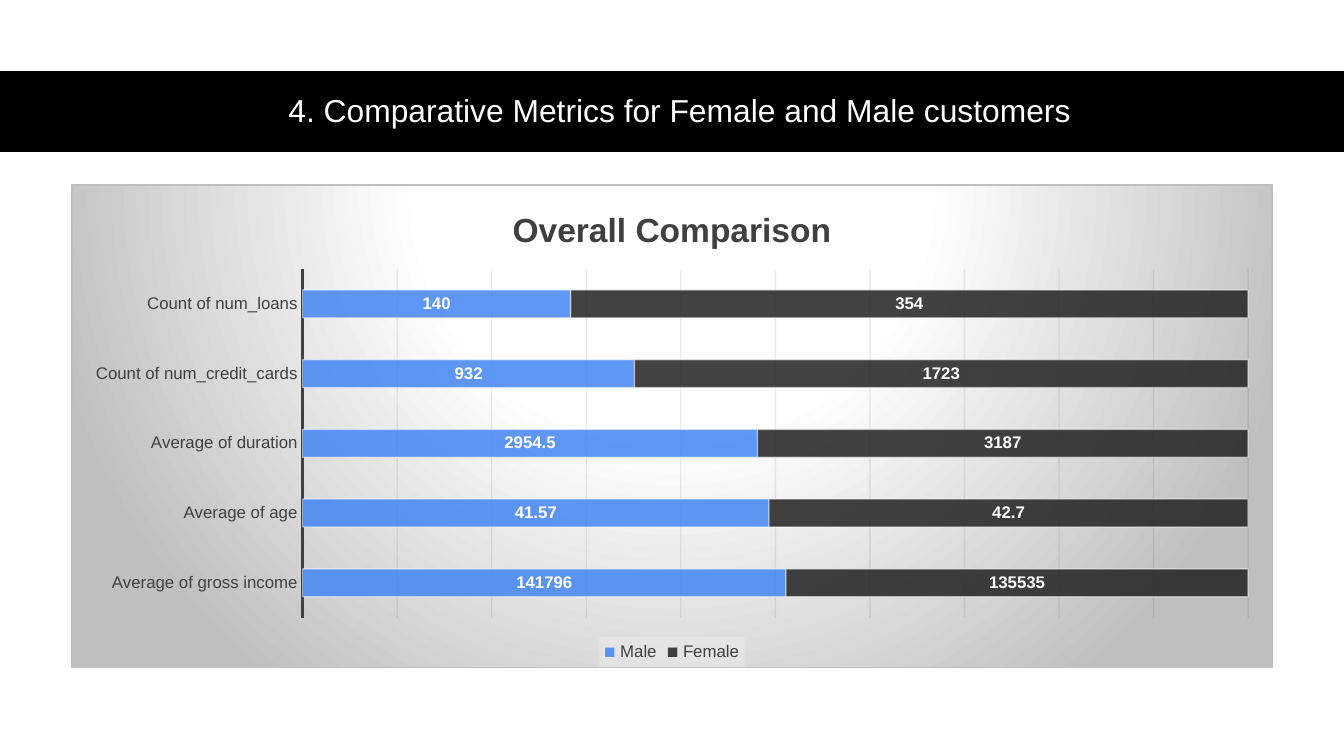
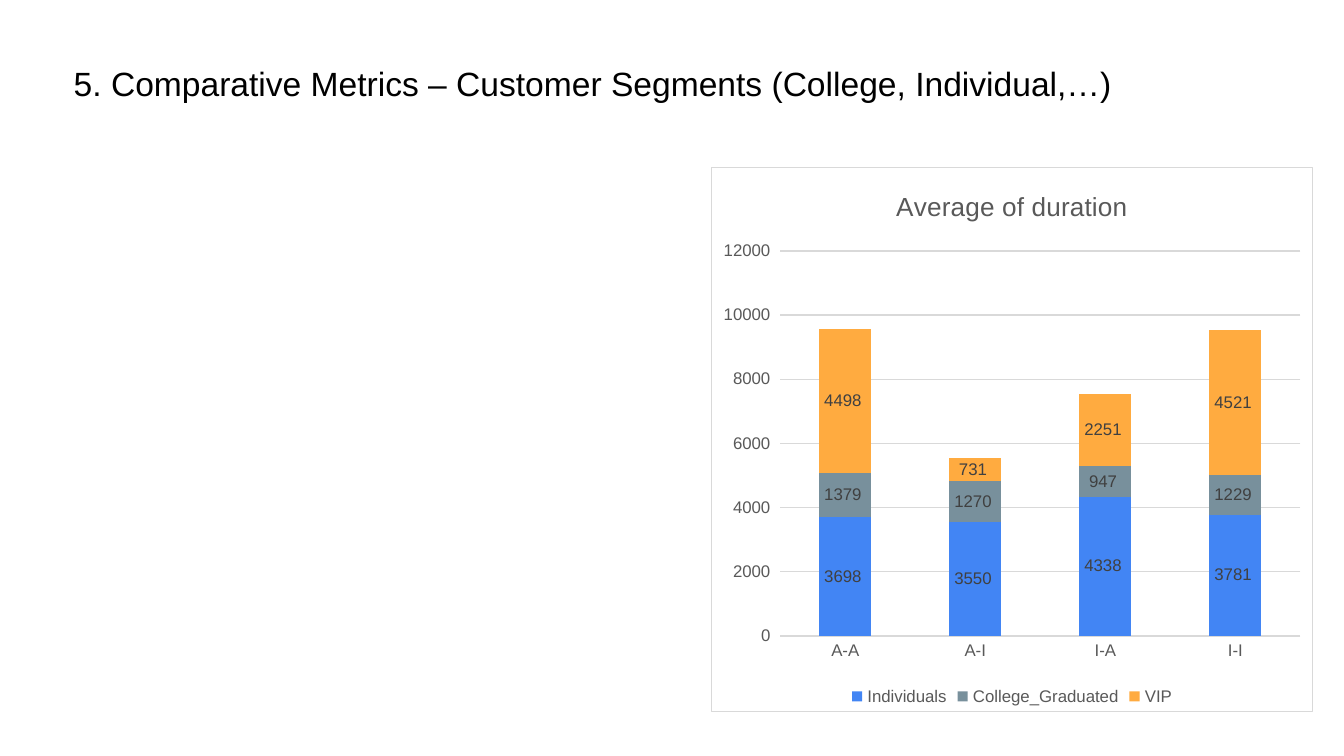
from lxml.etree import SubElement as Sub
from pptx import Presentation
from pptx.chart.data import CategoryChartData as Data
from pptx.dml.color import RGBColor as RGB
from pptx.enum.chart import XL_CHART_TYPE as Kind
from pptx.enum.chart import XL_LABEL_POSITION as Spot
from pptx.enum.chart import XL_LEGEND_POSITION as Side
from pptx.enum.chart import XL_TICK_LABEL_POSITION as Place
from pptx.enum.chart import XL_TICK_MARK as Tick
from pptx.enum.shapes import MSO_SHAPE as Shape
from pptx.enum.text import MSO_ANCHOR as Anchor
from pptx.enum.text import PP_ALIGN as Align
from pptx.oxml import parse_xml
from pptx.oxml.ns import nsdecls, qn
from pptx.util import Inches, Pt

FONT = "Arial"
WIDE = 10
HIGH = WIDE * 9 / 16
HUE = {
    "white": "FFFFFF", "black": "000000", "blue": "4285F4", "coal": "212121",
    "slate": "78909C", "amber": "FFAB40", "dark": "404040", "gray": "595959",
    "rule": "D9D9D9", "edge": "BFBFBF", "grid": "0D0D0D", "pale": "F2F2F2",
}


def put(obj, vals):
    for key, val in vals.items():
        setattr(obj, key, val)


def style(font, size, hue, bold=False):
    put(font, {"name": FONT, "size": Pt(size), "bold": bold})
    font.color.rgb = RGB.from_string(HUE[hue])


def paint(fill, hue):
    fill.solid()
    fill.fore_color.rgb = RGB.from_string(HUE[hue])


def stroke(line, hue, width=0.75):
    paint(line.fill, hue)
    line.width = Pt(width)


def fade(node, part, alpha):
    """Make the colours of one part of a node see-through."""
    for top in node.iter(qn(part)):
        for clr in top.iter(qn("a:srgbClr")):
            Sub(clr, qn("a:alpha")).set("val", str(alpha * 1000))


def solid(hue):
    return f'<a:solidFill><a:srgbClr val="{HUE[hue]}"/></a:solidFill>'


def glow():
    stops = "".join(
        f'<a:gs pos="{pos * 1000}"><a:srgbClr val="{HUE[hue]}"/></a:gs>'
        for pos, hue in ((0, "white"), (39, "white"), (100, "edge")))
    return (f'<a:gradFill><a:gsLst>{stops}</a:gsLst><a:path path="circle">'
            '<a:fillToRect l="50000" t="-80000" r="50000" b="180000"/>'
            '</a:path></a:gradFill>')


def back(node, fill, edge=None):
    """Put a fill and a border right after a chart node."""
    line = f'<a:ln w="{Pt(0.75)}">{solid(edge)}</a:ln>' if edge else ""
    node.addnext(parse_xml(
        f'<c:spPr {nsdecls("c", "a")}>{fill}{line}</c:spPr>'))


def band(slide, box, hue):
    bar = slide.shapes.add_shape(Shape.RECTANGLE, *map(Inches, box))
    bar.shadow.inherit = False
    paint(bar.fill, hue)
    bar.line.fill.background()


def title(slide, box, text, size, hue, frame=None, para=None):
    area = slide.shapes.add_textbox(*map(Inches, box)).text_frame
    gaps = {f"margin_{side}": Inches(0.1)
            for side in ("left", "top", "right", "bottom")}
    put(area, {"word_wrap": True, **gaps, **(frame or {})})
    line = area.paragraphs[0]
    put(line, para or {})
    run = line.add_run()
    run.text = text
    style(run.font, size, hue)


def graph(slide, kind, box, cats, rows, name, big, ink, bold=False):
    """Add a stacked chart; each row holds name, hue and values."""
    data = Data()
    data.categories = cats
    for label, _, vals in rows:
        data.add_series(label, vals)
    chart = slide.shapes.add_chart(kind, *map(Inches, box), data).chart
    style(chart.font, 10, "black")

    # Title and legend
    head = chart.chart_title.text_frame
    head.text = name
    style(head.paragraphs[0].runs[0].font, big, ink, bold)
    chart.has_legend = True
    put(chart.legend, {"position": Side.BOTTOM, "include_in_layout": False})
    style(chart.legend.font, 9, ink)

    # Axes
    ticks = {"major_tick_mark": Tick.NONE, "minor_tick_mark": Tick.NONE,
             "tick_label_position": Place.NEXT_TO_AXIS}
    for axis in (chart.category_axis, chart.value_axis):
        put(axis, ticks)
        style(axis.tick_labels.font, 9, ink)
    chart.value_axis.format.line.fill.background()

    # Bars
    plot = chart.plots[0]
    put(plot, {"gap_width": 150, "overlap": 100, "vary_by_categories": False})
    for ser, (_, hue, _) in zip(plot.series, rows):
        paint(ser.format.fill, hue)
    return chart


def marks(chart, hue, bold=False, form="General"):
    for ser in chart.plots[0].series:
        tags = ser.data_labels
        put(tags, {"show_value": True, "position": Spot.CENTER,
                   "number_format": form, "number_format_is_linked": False})
        style(tags.font, 9, hue, bold)


def gender(slide):
    band(slide, (0, 0.53, WIDE, 0.6), "black")
    title(slide, (0.46, 0.53, 9.2, 0.61),
          "4. Comparative Metrics for Female and Male customers", 17, "white",
          {"vertical_anchor": Anchor.MIDDLE,
           "margin_top": Inches(0.05), "margin_bottom": Inches(0.05)},
          {"alignment": Align.CENTER, "line_spacing": 0.9})
    cats = ("Average of gross income", "Average of age", "Average of duration",
            "Count of num_credit_cards", "Count of num_loans")
    rows = (("Male", "blue", (141796, 41.57, 2954.5, 932, 140)),
            ("Female", "coal", (135535, 42.7, 3187, 1723, 354)))
    chart = graph(slide, Kind.BAR_STACKED_100, (0.53, 1.37, 8.94, 3.6),
                  cats, rows, "Overall Comparison", 18, "dark", True)
    marks(chart, "white", True)
    stroke(chart.category_axis.format.line, "dark", 1.5)
    stroke(chart.value_axis.major_gridlines.format.line, "grid")
    chart.value_axis.visible = False

    # See-through bars, grid and legend on a glowing ground
    root = chart.element
    for ser in root.iter(qn("c:ser")):
        fade(ser, "c:spPr", 85)
    for ser in chart.plots[0].series:
        stroke(ser.format.line, "white")
    for ser in root.iter(qn("c:ser")):
        fade(ser.find(qn("c:spPr")), "a:ln", 50)
    fade(root, "c:majorGridlines", 7)
    key = root.find(".//" + qn("c:legend"))
    back(key.find(qn("c:overlay")), solid("pale"))
    for area in key.findall(qn("c:spPr")):
        fade(area, "a:solidFill", 39)
    back(root.find(qn("c:chart")), glow(), "edge")


def groups(slide):
    title(slide, (0.45, 0.37, 9.32, 0.63),
          "5. Comparative Metrics – Customer Segments (College, Individual,…)",
          18, "black")
    rows = (("Individuals", "blue", (3698, 3550, 4338, 3781)),
            ("College_Graduated", "slate", (1379, 1270, 947, 1229)),
            ("VIP", "amber", (4498, 731, 2251, 4521)))
    chart = graph(slide, Kind.COLUMN_STACKED, (5.29, 1.24, 4.48, 4.06),
                  ("A-A", "A-I", "I-A", "I-I"), rows,
                  "Average of duration", 14, "gray")
    marks(chart, "dark", form="0_ ")
    put(chart.value_axis.tick_labels,
        {"number_format": "0_ ", "number_format_is_linked": False})
    for part in (chart.category_axis, chart.value_axis.major_gridlines):
        stroke(part.format.line, "rule")
    back(chart.element.find(qn("c:chart")), solid("white"), "rule")


def main():
    deck = Presentation()
    put(deck, {"slide_width": Inches(WIDE), "slide_height": Inches(HIGH)})
    for build in (gender, groups):
        build(deck.slides.add_slide(deck.slide_layouts[6]))
    deck.save("out.pptx")


if __name__ == "__main__":
    main()
